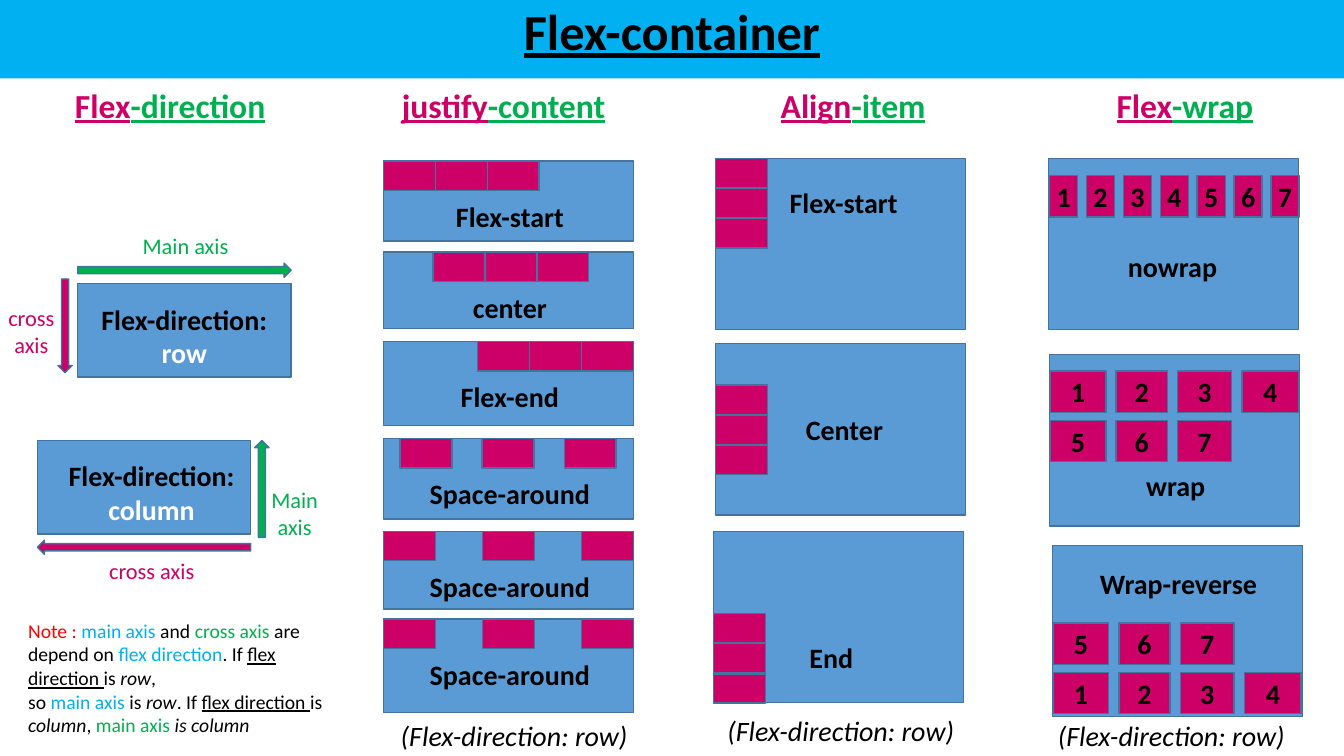
from pptx import Presentation
from pptx.dml.color import RGBColor
from pptx.enum.shapes import MSO_SHAPE
from pptx.enum.text import MSO_ANCHOR, PP_ALIGN
from pptx.util import Cm, Pt

RECT, ARROW = MSO_SHAPE.RECTANGLE, MSO_SHAPE.RIGHT_ARROW
CENTER, LEFT = PP_ALIGN.CENTER, PP_ALIGN.LEFT
MIDDLE = MSO_ANCHOR.MIDDLE

SKY = RGBColor(0x00, 0xB0, 0xF0)
BLUE = RGBColor(0x5B, 0x9B, 0xD5)
EDGE = RGBColor(0x43, 0x73, 0x9E)
PINK = RGBColor(0xCC, 0x00, 0x66)
GREEN = RGBColor(0x00, 0xB0, 0x50)
RED = RGBColor(0xFF, 0x00, 0x00)
BLACK = RGBColor(0x00, 0x00, 0x00)
WHITE = RGBColor(0xFF, 0xFF, 0xFF)

FONT = "Calibri"
PANEL_W, PANEL_H = 6.3, 4.32
ITEM_W, ITEM_H = 1.31, 0.74
LABEL_W, LABEL_H = 6.76, 1.12


def write(p, runs, size, align=CENTER):
    """Fill a paragraph with (text, colour, style) runs; style holds b, i, u."""
    p.alignment = align
    p.font.name, p.font.size = FONT, Pt(size)
    for words, colour, style in runs:
        r = p.add_run()
        r.text = words
        r.font.name, r.font.size = FONT, Pt(size)
        r.font.color.rgb = colour
        r.font.bold = "b" in style
        r.font.italic = "i" in style
        r.font.underline = "u" in style


def text(s, x, y, w, h, paragraphs, size, align=CENTER, wrap=True):
    tf = s.shapes.add_textbox(Cm(x), Cm(y), Cm(w), Cm(h)).text_frame
    tf.word_wrap = wrap
    for i, runs in enumerate(paragraphs):
        p = tf.add_paragraph() if i else tf.paragraphs[0]
        write(p, runs, size, align)


def label(s, x, y, words, style="b"):
    text(s, x, y, LABEL_W, LABEL_H, [[(words, BLACK, style)]], 20)


def shape(s, x, y, w, h, fill, kind=RECT, rotation=0, edge=EDGE):
    sp = s.shapes.add_shape(kind, Cm(x), Cm(y), Cm(w), Cm(h))
    sp.shadow.inherit = False
    sp.rotation = rotation
    sp.fill.solid()
    sp.fill.fore_color.rgb = fill
    if edge is None:
        sp.line.fill.background()
    else:
        sp.line.color.rgb = edge
        sp.line.width = Pt(1)
    return sp


def numbered(s, x, y, w, number):
    tf = shape(s, x, y, w, 1.04, PINK).text_frame
    tf.margin_left = tf.margin_right = tf.margin_top = tf.margin_bottom = 0
    tf.vertical_anchor = MIDDLE
    write(tf.paragraphs[0], [(str(number), BLACK, "b")], 20)


def heading(s, x, y, w, first, second):
    text(s, x, y, w, 1.27, [[(first, PINK, "bu"), (second, GREEN, "bu")]], 24)


def banner(s, x, y, w, h):
    shape(s, x, y, w, h, SKY, edge=None)
    text(s, x + (w - 8.1) / 2, y - 0.1, 8.1, 1.8,
         [[("Flex-container", BLACK, "bu")]], 36, wrap=False)


def direction_column(s, x, y):
    heading(s, x + 0.91, y, 6.76, "Flex", "-direction")
    # Row: main axis on top, cross axis on the left
    shape(s, x + 1.96, y + 5.13, 5.38, 2.36, BLUE)
    shape(s, x + 1.96, y + 4.62, 5.38, 0.36, GREEN, ARROW)
    shape(s, x + 0.46, y + 6.02, 2.36, 0.36, PINK, ARROW, 90)
    # Column: main axis on the right, cross axis below
    shape(s, x + 0.94, y + 9.09, 5.38, 2.36, BLUE)
    shape(s, x + 5.38, y + 10.13, 2.44, 0.36, GREEN, ARROW, 270)
    shape(s, x + 0.94, y + 11.6, 5.38, 0.36, PINK, ARROW, 180)
    for dx, dy, w, value in ((2.18, 5.48, 4.93, "row"), (1.42, 9.42, 4.8, "column")):
        text(s, x + dx, y + dy, w, 1.96,
             [[("Flex-direction: ", BLACK, "b"), (value, WHITE, "b")]], 20)
    for dx, dy, w, h, words, colour in (
            (3.2, 3.71, 2.95, 0.94, "Main axis", GREEN),
            (-0.38, 5.53, 2.34, 1.63, "cross axis", PINK),
            (6.22, 10.11, 2.41, 1.63, "Main axis", GREEN),
            (2.44, 11.91, 2.77, 0.94, "cross axis", PINK)):
        text(s, x + dx, y + dy, w, h, [[(words, colour, "")]], 16)


def note(s, x, y, w, h):
    text(s, x, y, w, h, [
        [("Note : ", RED, ""), ("main axis ", SKY, ""), ("and ", BLACK, ""),
         ("cross axis ", GREEN, ""), ("are depend on ", BLACK, ""),
         ("flex direction", SKY, ""), (". If ", BLACK, ""),
         ("flex direction ", BLACK, "u"), ("is ", BLACK, ""),
         ("row", BLACK, "i"), (", ", BLACK, "")],
        [("so ", BLACK, ""), ("main axis ", SKY, ""), ("is ", BLACK, ""),
         ("row", BLACK, "i"), (". If ", BLACK, ""),
         ("flex direction ", BLACK, "u"), ("is ", BLACK, ""),
         ("column", BLACK, "i"), (", ", BLACK, ""),
         ("main axis ", GREEN, ""), ("is column", BLACK, "i")],
    ], 14, LEFT)


def justify_column(s, x, y):
    heading(s, x - 0.64, y, 7.34, "justify", "-content")
    spread = (PANEL_W - ITEM_W) / 2
    # Label, panel top and height, first item, item step
    for words, top, h, first, step in (
            ("Flex-start", 2.05, 2.01, 0, ITEM_W),
            ("center", 4.34, 1.93, 1.25, ITEM_W),
            ("Flex-end", 6.6, 2.11, PANEL_W - 3 * ITEM_W, ITEM_W),
            ("Space-around", 9.04, 2.03, 0.42, 2.07),
            ("Space-around", 11.38, 1.96, 0, spread),
            ("Space-around", 13.59, 2.36, 0, spread)):
        shape(s, x, y + top, PANEL_W, h, BLUE)
        for i in range(3):
            shape(s, x + first + i * step, y + top, ITEM_W, ITEM_H, PINK)
        label(s, x - 0.19, y + top + 0.84, words)
    label(s, x - 0.08, y + 15.97, "(Flex-direction: row)", "i")


def align_column(s, x, y):
    heading(s, x - 0.2, y, 7.34, "Align", "-item")
    # Label and its shift, panel place, first item
    for words, shift, dx, top, first in (
            ("Flex-start", -0.15, 0, 1.98, 0),
            ("Center", -0.13, 0, 6.65, 1.04),
            ("End ", -0.33, -0.05, 11.38, 2.07)):
        shape(s, x + dx, y + top, PANEL_W, PANEL_H, BLUE)
        for i in range(3):
            shape(s, x + dx, y + top + first + i * 0.76, ITEM_W, ITEM_H, PINK)
        label(s, x + dx + shift, y + top + first + 0.56, words)
    label(s, x - 0.22, y + 15.85, "(Flex-direction: row)", "i")


def wrap_column(s, x, y):
    heading(s, x - 0.23, y, 7.34, "Flex", "-wrap")
    # nowrap: a single row
    shape(s, x, y + 1.98, PANEL_W, PANEL_H, BLUE)
    for i in range(7):
        numbered(s, x + 0.03 + i * 0.93, y + 2.42, 0.71, i + 1)
    label(s, x - 0.25, y + 4.14, "nowrap")
    # wrap and wrap-reverse: rows of four and three
    cells = ((0.02, 1.4), (1.68, 1.29), (3.23, 1.35), (4.85, 1.42))
    for words, dx, top, label_top, rows in (
            ("wrap", 0.03, 6.93, 2.74, (0.41, 1.65)),
            ("Wrap-reverse", 0.1, 11.73, 0.41, (3.2, 1.96))):
        shape(s, x + dx, y + top, PANEL_W, PANEL_H, BLUE)
        for i in range(7):
            left, w = cells[i % 4]
            numbered(s, x + dx + left, y + top + rows[i // 4], w, i + 1)
        label(s, x + dx - 0.2, y + top + label_top, words)
    label(s, x - 0.28, y + 15.97, "(Flex-direction: row)", "i")


prs = Presentation()
prs.slide_width, prs.slide_height = Cm(33.87), Cm(19.05)
s = prs.slides.add_slide(prs.slide_layouts[6])

banner(s, 0, -0.03, 33.87, 2.01)
direction_column(s, 0, 2.01)
note(s, 0.46, 15.47, 8.18, 3.25)
justify_column(s, 9.66, 2.01)
align_column(s, 18.03, 2.01)
wrap_column(s, 26.42, 2.01)

prs.save("out.pptx")
